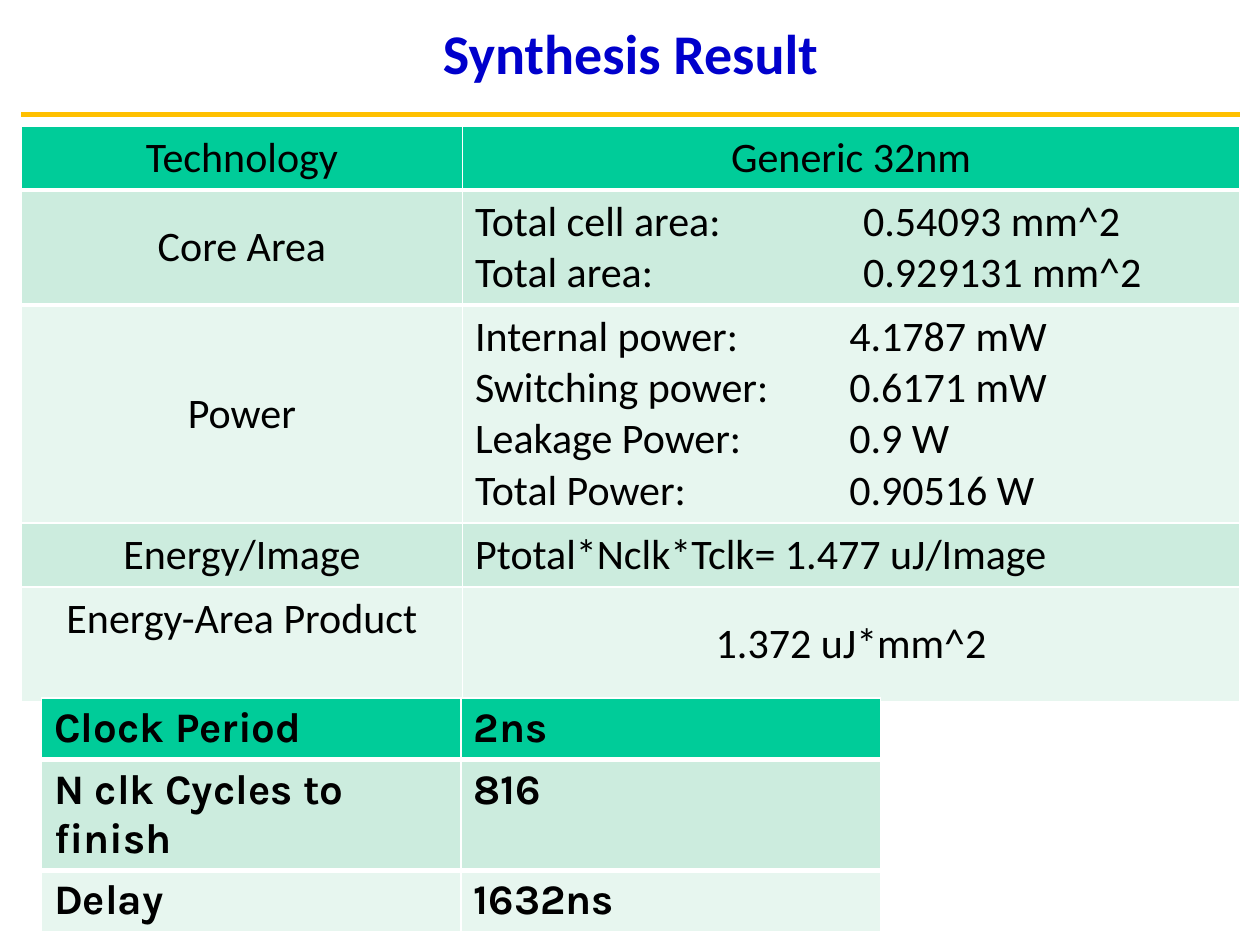
import pptx
import pptx.util
import pptx.dml.color
import pptx.enum.text
import pptx.enum.shapes
import pptx.oxml.ns
import lxml.etree

Inches = pptx.util.Inches
Pt = pptx.util.Pt
ALIGN = pptx.enum.text.PP_ALIGN
ANCHOR = pptx.enum.text.MSO_ANCHOR
qn = pptx.oxml.ns.qn

HUES = {"title": "0000CC", "rule": "FFC000", "text": "000000",
        "head": "00CC99", "odd": "CCECDE", "even": "E7F6EF",
        "edge": "FFFFFF"}

RESULT = [
    ("Technology", "Generic 32nm"),
    ("Core Area", "Total cell area:\t0.54093 mm^2\nTotal area:\t0.929131 mm^2"),
    ("Power", "Internal power:\t4.1787 mW\nSwitching power:\t0.6171 mW\n"
              "Leakage Power:\t0.9 W\nTotal Power:\t0.90516 W"),
    ("Energy/Image", "Ptotal*Nclk*Tclk= 1.477 uJ/Image"),
    ("Energy-Area Product", "1.372 uJ*mm^2"),
]
TIMING = [("Clock Period", "2ns"), ("N clk Cycles to finish", "816"),
          ("Delay", "1632ns")]


def color(name):
    return pptx.dml.color.RGBColor.from_string(HUES[name])


def style(para, face, size, hue, bold):
    font = para.font
    font.name, font.size, font.bold = face, Pt(size), bold
    font.color.rgb = color(hue)


def set_tab(para, stop):
    props = para._p.get_or_add_pPr()
    tabs = lxml.etree.Element(qn("a:tabLst"))
    lxml.etree.SubElement(tabs, qn("a:tab"), pos=str(Inches(stop)), algn="l")
    props.insert(0, tabs)


def set_edge(cell, side, width):
    edge = lxml.etree.Element(qn("a:" + side), w=str(Pt(width)))
    fill = lxml.etree.SubElement(edge, qn("a:solidFill"))
    lxml.etree.SubElement(fill, qn("a:srgbClr"), val=HUES["edge"])
    cell._tc.get_or_add_tcPr().insert(0, edge)


def add_title(slide, left, top, width, height):
    title = slide.shapes.title
    title.left, title.top = Inches(left), Inches(top)
    title.width, title.height = Inches(width), Inches(height)
    frame = title.text_frame
    frame.text = "Synthesis Result"
    frame.vertical_anchor = ANCHOR.MIDDLE
    para = frame.paragraphs[0]
    para.alignment, para.line_spacing = ALIGN.CENTER, 0.85
    style(para, "Calibri", 32, "title", True)

    base = Inches(top + height)
    rule = slide.shapes.add_connector(
        pptx.enum.shapes.MSO_CONNECTOR.STRAIGHT,
        Inches(left), base, Inches(left + width), base)
    rule.line.color.rgb = color("rule")
    rule.line.width = Pt(3)
    lxml.etree.SubElement(rule._element.spPr, qn("a:effectLst"))


def add_grid(slide, left, top, cols, rows, data, face, bold):
    table = slide.shapes.add_table(
        len(rows), len(cols), Inches(left), Inches(top),
        Inches(sum(cols)), Inches(sum(rows))).table
    for col, width in zip(table.columns, cols):
        col.width = Inches(width)
    for r, height in enumerate(rows):
        table.rows[r].height = Inches(height)
        hue = "head" if r == 0 else ("odd" if r % 2 else "even")
        for c, text in enumerate(data[r]):
            cell = table.cell(r, c)
            cell.fill.solid()
            cell.fill.fore_color.rgb = color(hue)
            cell.text = text
            for para in cell.text_frame.paragraphs:
                style(para, face, 24, "text", bold)
    for c in range(len(cols)):
        set_edge(table.cell(0, c), "lnB", 3)
        set_edge(table.cell(1, c), "lnT", 3)
    return table


def add_result(slide, left, top):
    table = add_grid(slide, left, top, [3.5, 6.17],
                     [0.49, 0.91, 1.73, 0.5, 0.91], RESULT, "Calibri", False)
    for cell in table.iter_cells():
        cell.vertical_anchor = ANCHOR.MIDDLE
    table.cell(4, 0).vertical_anchor = ANCHOR.TOP
    middle = [table.cell(r, 0) for r in range(5)]
    middle += [table.cell(0, 1), table.cell(4, 1)]
    for cell in middle:
        cell.text_frame.paragraphs[0].alignment = ALIGN.CENTER
    for r, stop in ((1, 3.08), (2, 2.97)):
        for para in table.cell(r, 1).text_frame.paragraphs:
            set_tab(para, stop)


def add_timing(slide, left, top):
    add_grid(slide, left, top, [3.33, 3.33], [0.48, 0.87, 0.48],
             TIMING, "Karla", True)


def main():
    deck = pptx.Presentation()
    deck.slide_width, deck.slide_height = Inches(10), Inches(7.5)
    slide = deck.slides.add_slide(deck.slide_layouts[5])
    add_title(slide, 0.17, 0, 9.67, 0.91)
    add_result(slide, 0.17, 1)
    add_timing(slide, 0.33, 5.54)
    deck.save("out.pptx")


if __name__ == "__main__":
    main()
